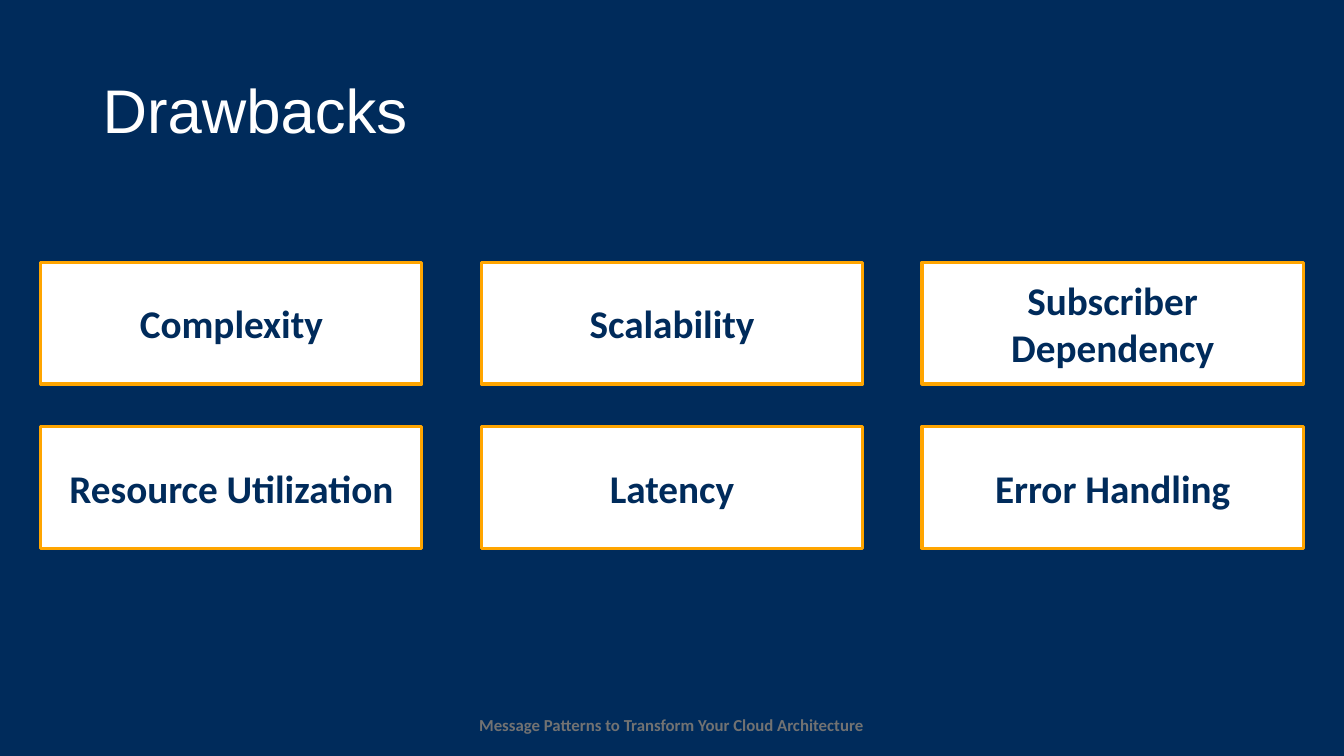
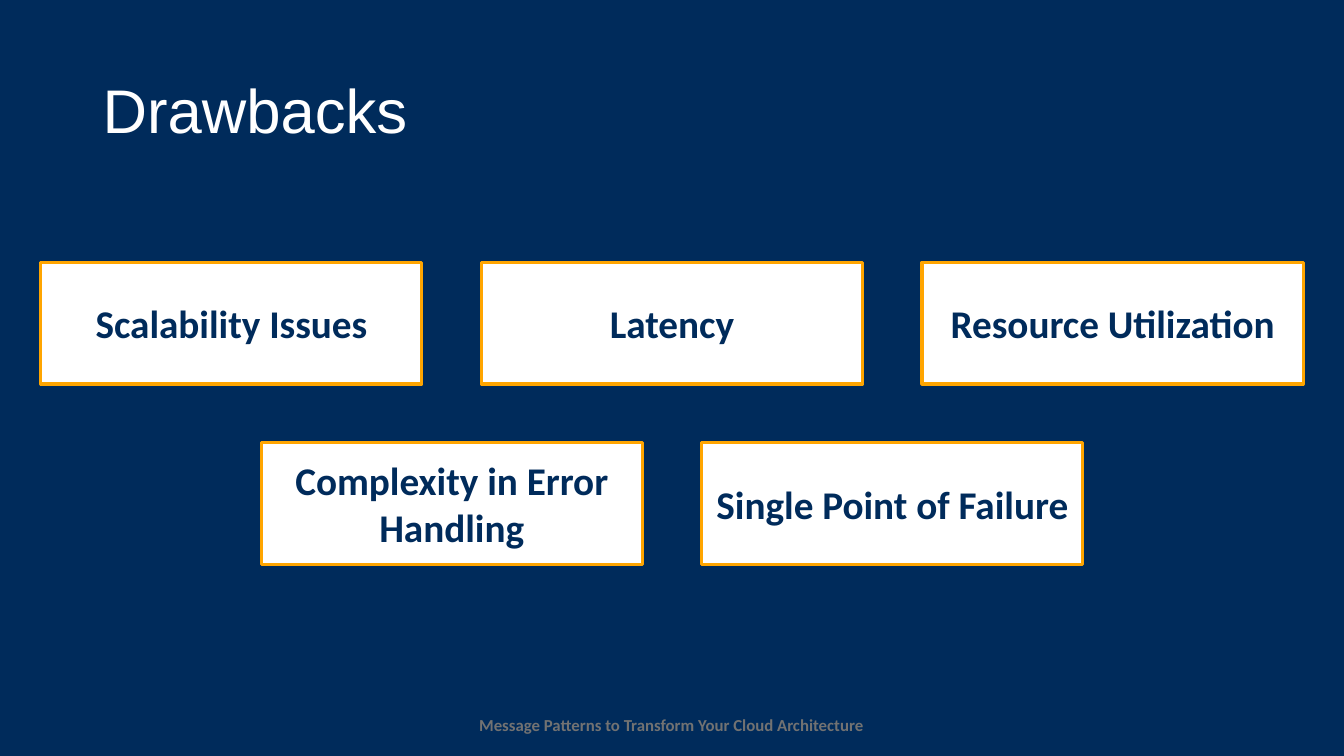
"""Build two slides that list drawbacks as centred rows of cards."""
import pptx
import pptx.dml.color
import pptx.enum.shapes
import pptx.enum.text
import pptx.util

Inches = pptx.util.Inches
Pt = pptx.util.Pt
ALIGN = pptx.enum.text.PP_ALIGN
ANCHOR = pptx.enum.text.MSO_ANCHOR

COLORS = {
    "navy": "002B5B",
    "white": "FFFFFF",
    "orange": "FFA500",
    "grey": "727272",
}
SLIDE_WIDTH, SLIDE_HEIGHT = 13.33, 7.5
CARD_WIDTH, CARD_HEIGHT, CARD_GAP = 3.78, 1.21, 0.59
FIRST_ROW_TOP = 2.6
FOOTER = "Message Patterns to Transform Your Cloud Architecture"

DRAWBACKS = [
    (1.63, [
        ["Complexity", "Scalability", "Subscriber Dependency"],
        ["Resource Utilization", "Latency", "Error Handling"],
    ]),
    (1.79, [
        ["Scalability Issues", "Latency", "Resource Utilization"],
        ["Complexity in Error Handling", "Single Point of Failure"],
    ]),
]


class Deck:
    def __init__(self):
        self.presentation = pptx.Presentation()
        self.presentation.slide_width = Inches(SLIDE_WIDTH)
        self.presentation.slide_height = Inches(SLIDE_HEIGHT)
        self.slide = None

    def color(self, name):
        return pptx.dml.color.RGBColor.from_string(COLORS[name])

    def new_slide(self, title):
        blank = self.presentation.slide_layouts[6]
        self.slide = self.presentation.slides.add_slide(blank)
        background = self.slide.background.fill
        background.solid()
        background.fore_color.rgb = self.color("navy")
        self.footer()
        self.title(title)

    def add_text(self, frame, text, size, color, font="Calibri", bold=True, align=ALIGN.CENTER):
        paragraph = frame.paragraphs[0]
        paragraph.alignment = align
        run = paragraph.add_run()
        run.text = text
        run.font.name = font
        run.font.size = Pt(size)
        run.font.bold = bold
        run.font.color.rgb = self.color(color)
        return paragraph

    def text_box(self, left, top, width, height):
        box = self.slide.shapes.add_textbox(
            Inches(left), Inches(top), Inches(width), Inches(height))
        return box.text_frame

    def title(self, text):
        frame = self.text_box(0.92, 0.4, 11.5, 1.45)
        frame.word_wrap = True
        frame.vertical_anchor = ANCHOR.MIDDLE
        heading = self.add_text(frame, text, 44, "white", "Arial", False, ALIGN.LEFT)
        heading.line_spacing = 0.9

    def footer(self):
        frame = self.text_box(4.63, 7.04, 4.06, 0.3)
        frame.word_wrap = False
        frame.auto_size = pptx.enum.text.MSO_AUTO_SIZE.SHAPE_TO_FIT_TEXT
        self.add_text(frame, FOOTER, 12, "grey")

    def card(self, text, left, top):
        card = self.slide.shapes.add_shape(
            pptx.enum.shapes.MSO_SHAPE.RECTANGLE,
            Inches(left), Inches(top), Inches(CARD_WIDTH), Inches(CARD_HEIGHT))
        card.shadow.inherit = False
        card.fill.solid()
        card.fill.fore_color.rgb = self.color("white")
        card.line.color.rgb = self.color("orange")
        card.line.width = Pt(2.25)
        card.text_frame.word_wrap = True
        card.text_frame.vertical_anchor = ANCHOR.MIDDLE
        self.add_text(card.text_frame, text, 28, "navy")

    def card_row(self, labels, top):
        step = CARD_WIDTH + CARD_GAP
        left = (SLIDE_WIDTH - len(labels) * step + CARD_GAP) / 2
        for column, label in enumerate(labels):
            self.card(label, left + column * step, top)


def main():
    deck = Deck()
    for row_step, rows in DRAWBACKS:
        deck.new_slide("Drawbacks")
        for index, labels in enumerate(rows):
            deck.card_row(labels, FIRST_ROW_TOP + index * row_step)
    deck.presentation.save("out.pptx")


if __name__ == "__main__":
    main()
